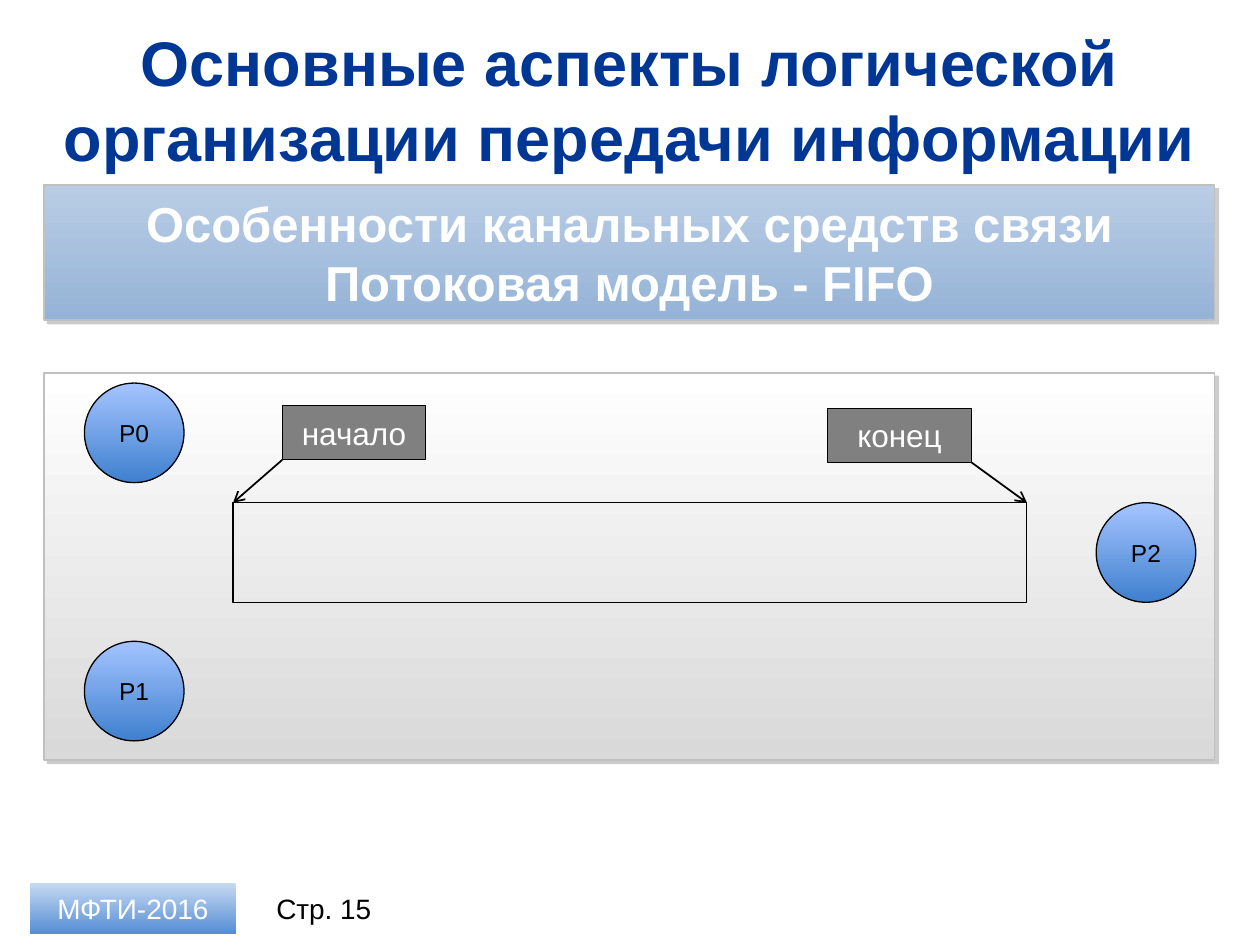
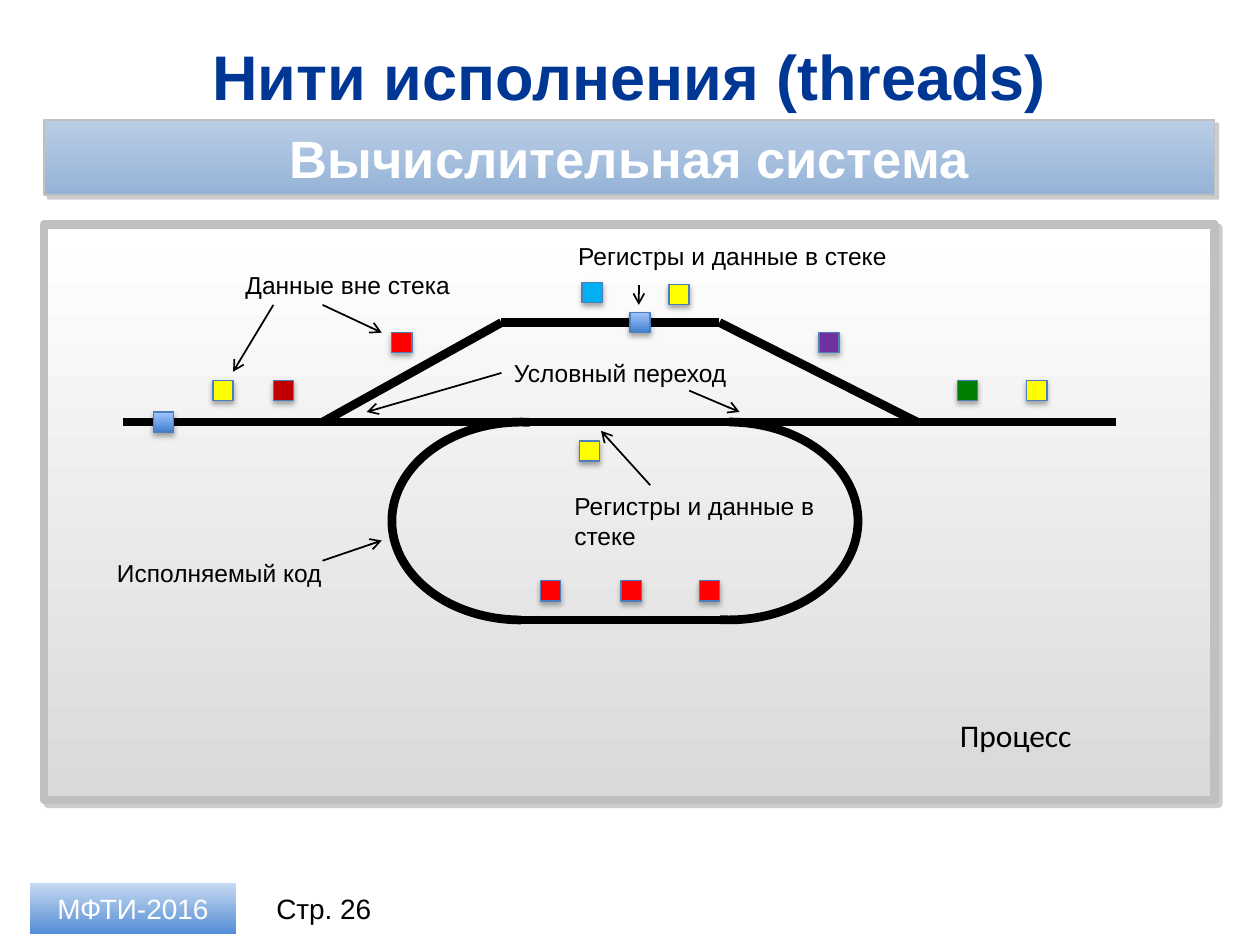
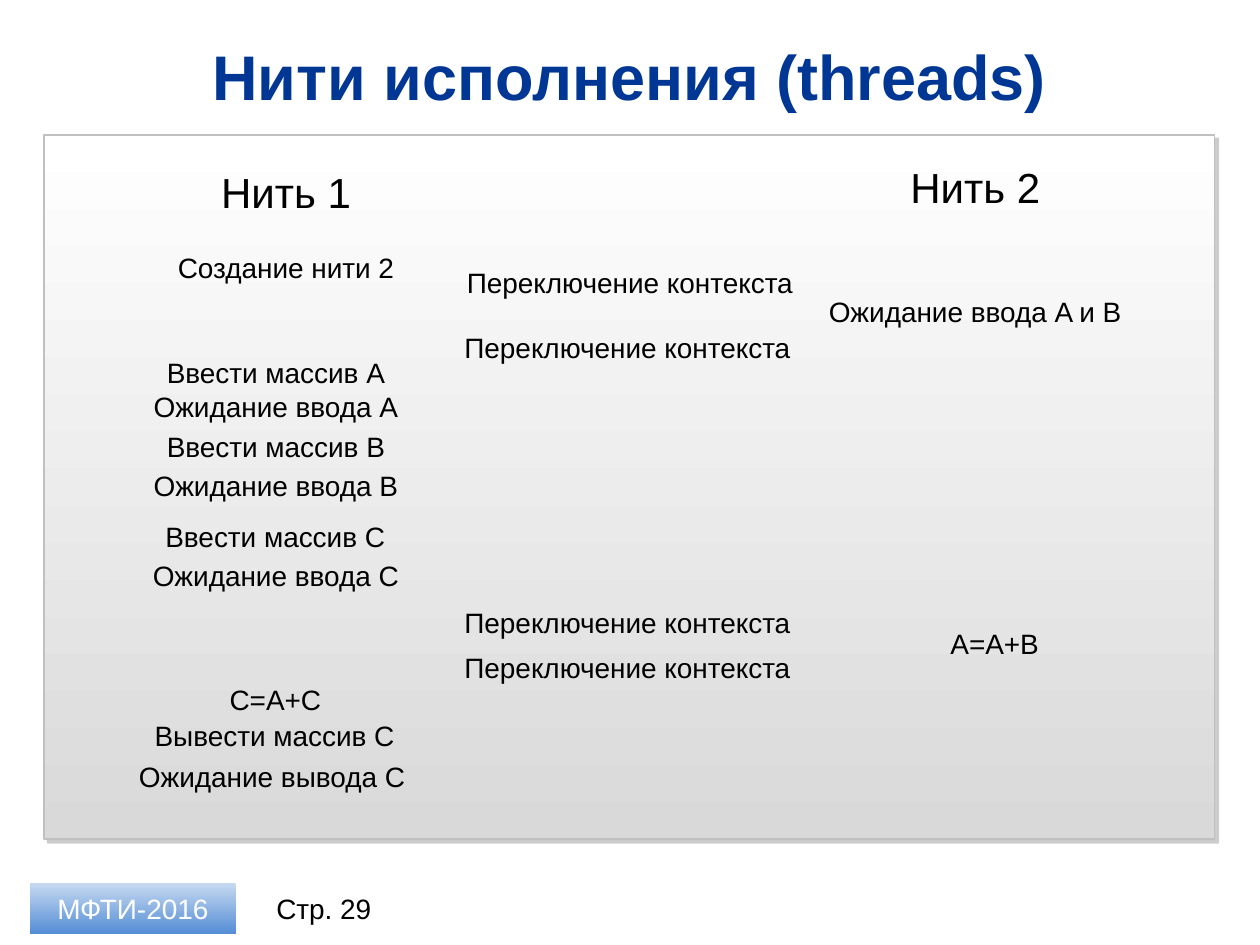
from dataclasses import dataclass
from typing import NamedTuple, Optional

import pptx
import pptx.dml.color
import pptx.enum.shapes
import pptx.enum.text
import pptx.oxml
import pptx.oxml.ns
import pptx.util
from lxml import etree

Inches = pptx.util.Inches
Pt = pptx.util.Pt
Shape = pptx.enum.shapes.MSO_SHAPE
Align = pptx.enum.text.PP_ALIGN
Anchor = pptx.enum.text.MSO_ANCHOR
AutoSize = pptx.enum.text.MSO_AUTO_SIZE
qn = pptx.oxml.ns.qn


# Shared look
@dataclass(frozen=True)
class Theme:
    font: str = "Arial"
    title: str = "003794"
    ink: str = "000000"
    paper: str = "FFFFFF"
    edge: str = "C0C0C0"
    tag: str = "808080"
    token_edge: str = "4B7EBC"
    # Gradients run from top to bottom
    band: tuple = ("B9CDE5", "95B3D7")
    panel: tuple = ("FFFFFF", "D9D9D9")
    badge: tuple = ("C6D9F1", "558ED5")
    blue: tuple = ("A4C4FF", "3F80CE")
    title_size: int = 36
    band_size: int = 28
    heading_size: int = 24
    tag_size: int = 18
    body_size: int = 16
    note_size: int = 14


THEME = Theme()


class Area(NamedTuple):
    left: float
    top: float
    width: float
    height: float

    def emu(self) -> list:
        return [Inches(value) for value in self]


class Stroke(NamedTuple):
    color: str
    width: float


class Shadow(NamedTuple):
    color: str
    alpha: int
    blur: float
    distance: float
    angle: int


class Label(NamedTuple):
    text: str
    left: float
    top: float
    width: float
    lines: int = 1


class Line(NamedTuple):
    x1: float
    y1: float
    x2: float
    y2: float


class Token(NamedTuple):
    left: float
    top: float
    fill: object


LEFT, WIDTH = 0.35, 9.29
THIN = Stroke(THEME.ink, 0.75)
POINTER = Stroke(THEME.ink, 1)
TRACK = Stroke(THEME.ink, 5)
FRAME = Stroke(THEME.edge, 1)
PANEL_SHADOW = Shadow("808080", 40, 0, 3, 45)
TOKEN_SHADOW = Shadow("000000", 35, 3.1, 1.8, 90)


def rgb(color: str):
    return pptx.dml.color.RGBColor.from_string(color)


# Drawing helpers
def write(shape, text: str, size: float, color: str = THEME.ink, bold: bool = False,
          align=Align.CENTER, anchor=Anchor.MIDDLE, wrap: bool = True,
          font: str = THEME.font) -> None:
    frame = shape.text_frame
    frame.text = text
    frame.word_wrap = wrap
    frame.vertical_anchor = anchor
    for para in frame.paragraphs:
        para.alignment = align
        para.font.name = font
        para.font.size = Pt(size)
        para.font.bold = bold
        para.font.color.rgb = rgb(color)


def add_box(page, area: Area, fill=None, stroke: Optional[Stroke] = None,
            shadow: Optional[Shadow] = None, kind=Shape.RECTANGLE):
    """Draw a preset shape; fill is a colour, a (top, bottom) gradient or None."""
    box = page.shapes.add_shape(kind, *area.emu())
    if fill is None:
        box.fill.background()
    elif isinstance(fill, str):
        box.fill.solid()
        box.fill.fore_color.rgb = rgb(fill)
    else:
        box.fill.gradient()
        box.fill.gradient_angle = 270
        for stop, color in zip(box.fill.gradient_stops, fill):
            stop.color.rgb = rgb(color)
    if stroke:
        box.line.color.rgb = rgb(stroke.color)
        box.line.width = Pt(stroke.width)
    else:
        box.line.fill.background()
    box.shadow.inherit = False
    if shadow:
        effects = box.element.spPr.find(qn("a:effectLst"))
        outer = etree.SubElement(
            effects, qn("a:outerShdw"), blurRad=str(Pt(shadow.blur)),
            dist=str(Pt(shadow.distance)), dir=str(shadow.angle * 60000),
            algn="tl", rotWithShape="0")
        color = etree.SubElement(outer, qn("a:srgbClr"), val=shadow.color)
        etree.SubElement(color, qn("a:alpha"), val=str(shadow.alpha * 1000))
    return box


def add_line(page, line: Line, stroke: Stroke, arrow: bool = False) -> None:
    connector = page.shapes.add_connector(
        pptx.enum.shapes.MSO_CONNECTOR.STRAIGHT, *[Inches(value) for value in line])
    connector.line.color.rgb = rgb(stroke.color)
    connector.line.width = Pt(stroke.width)
    properties = connector.element.spPr
    if arrow:
        etree.SubElement(properties.find(qn("a:ln")), qn("a:tailEnd"), type="arrow")
    etree.SubElement(properties, qn("a:effectLst"))


def add_label(page, label: Label, size: int, align=Align.LEFT,
              font: str = THEME.font) -> None:
    height = 0.1 + label.lines * size / 60
    area = Area(label.left, label.top, label.width, height)
    box = page.shapes.add_textbox(*area.emu())
    write(box, label.text, size, align=align, anchor=Anchor.TOP, font=font)
    box.text_frame.auto_size = AutoSize.SHAPE_TO_FIT_TEXT


# Parts that several slides share
def add_page(deck, title: str, number: int, title_height: float = 0.68):
    page = deck.slides.add_slide(deck.slide_layouts[5])
    heading = page.shapes.title
    heading.left, heading.top, heading.width, heading.height = Area(
        LEFT, 0.26, WIDTH, title_height).emu()
    write(heading, title, THEME.title_size, THEME.title, bold=True)
    heading.text_frame.auto_size = AutoSize.NONE

    counter = page.shapes.add_textbox(*Area(2.03, 7.01, 1.08, 0.4).emu())
    write(counter, f"Стр. {number}", THEME.body_size)
    badge = add_box(page, Area(0.24, 7.01, 1.63, 0.4), THEME.badge)
    write(badge, "МФТИ-2016", THEME.body_size, THEME.paper)
    return page


def add_band(page, text: str, top: float, height: float,
             size: int = THEME.band_size) -> None:
    band = add_box(page, Area(LEFT, top, WIDTH, height), THEME.band, FRAME, PANEL_SHADOW)
    write(band, text, size, THEME.paper, bold=True)
    frame = band.text_frame
    frame.margin_left = frame.margin_right = Inches(0.24)
    frame.margin_top = frame.margin_bottom = Inches(0.04)


def add_panel(page, top: float, height: float, stroke: Stroke = FRAME) -> None:
    add_box(page, Area(LEFT, top, WIDTH, height), THEME.panel, stroke, PANEL_SHADOW)


# Slides
def build_fifo(deck) -> None:
    page = add_page(deck, "Основные аспекты логической организации передачи информации",
                    15, title_height=1.05)
    add_band(page, "Особенности канальных средств связи\nПотоковая модель - FIFO", 1.47, 1.07)
    add_panel(page, 2.96, 3.07)

    queue = Area(1.85, 3.99, 6.3, 0.79)
    add_box(page, queue, stroke=THIN)

    for name, left, top in (("P0", 0.67, 3.04), ("P1", 0.67, 5.09), ("P2", 8.7, queue.top)):
        process = add_box(page, Area(left, top, 0.79, 0.79), THEME.blue, THIN,
                          kind=Shape.OVAL)
        write(process, name, THEME.note_size, wrap=False)

    # Each tag points from its lower outer corner to a corner of the queue
    start, end = Area(2.24, 3.22, 1.14, 0.43), Area(6.57, 3.24, 1.14, 0.43)
    ends = (("начало", start, start.left, queue.left),
            ("конец", end, end.left + end.width, queue.left + queue.width))
    for name, area, tag_x, queue_x in ends:
        tag = add_box(page, area, THEME.tag, THIN)
        write(tag, name, THEME.tag_size, THEME.paper, wrap=False)
        add_line(page, Line(tag_x, area.top + area.height, queue_x, queue.top),
                 POINTER, arrow=True)


def build_railway(deck) -> None:
    page = add_page(deck, "Нити исполнения (threads)", 26)
    add_panel(page, 1.78, 4.57, Stroke(THEME.edge, 5))

    # Tracks: main line, upper bypass, lower loop
    upper, main, lower = 2.56, 3.35, 4.92
    tracks = (
        Line(0.98, main, 2.56, main),
        Line(2.56, main, 3.98, upper),
        Line(3.98, upper, 5.71, upper),
        Line(2.56, main, 8.86, main),
        Line(5.71, upper, 7.28, main),
        Line(5.75, lower, 4.06, lower),
    )
    for track in tracks:
        add_line(page, track, TRACK)
    for left, rotation in ((4.76, 0), (3.11, 180)):
        bend = add_box(page, Area(left, main, 2.05, lower - main), stroke=TRACK,
                       kind=Shape.ARC)
        bend.adjustments[0] = 162
        bend.adjustments[1] = 57.08
        bend.rotation = rotation

    # Data and registers
    red, yellow = "FF0000", "FFFF00"
    tokens = (
        Token(1.22, 3.27, THEME.blue),
        Token(2.17, 3.02, "C00000"),
        Token(3.11, 2.64, red),
        Token(4.62, 2.24, "00B0F0"),
        Token(5.31, 2.26, yellow),
        Token(6.5, 2.64, "7030A0"),
        Token(7.6, 3.02, "008000"),
        Token(8.15, 3.02, yellow),
        Token(1.69, 3.02, yellow),
        Token(4.6, 3.5, yellow),
        Token(5.55, 4.61, red),
        Token(4.93, 4.61, red),
        Token(4.29, 4.61, red),
        Token(5, 2.48, THEME.blue),
    )
    for token in tokens:
        add_box(page, Area(token.left, token.top, 0.16, 0.16), token.fill,
                Stroke(THEME.token_edge, 0.75), TOKEN_SHADOW)

    # Notes and their pointers
    notes = (
        Label("Регистры и данные в стеке", 4.46, 3.85, 2.13, lines=2),
        Label("Исполняемый код", 0.83, 4.38, 3.15),
        Label("Данные вне стека", 1.85, 2.09, 2.13),
        Label("Условный переход", 3.98, 2.79, 2.05),
        Label("Регистры и данные в стеке", 4.49, 1.86, 3.27),
    )
    for note in notes:
        add_label(page, note, THEME.note_size)
    add_label(page, Label("Процесс", 7.52, 5.63, 1.73), THEME.tag_size, font="Calibri")

    pointers = (
        Line(2.56, 4.45, 3.03, 4.29),
        Line(2.17, 2.42, 1.85, 2.95),
        Line(2.56, 2.42, 3.03, 2.64),
        Line(3.98, 2.96, 2.91, 3.27),
        Line(5.47, 3.1, 5.87, 3.27),
        Line(5.16, 3.85, 4.77, 3.42),
        Line(5.07, 2.26, 5.07, 2.42),
    )
    for pointer in pointers:
        add_line(page, pointer, POINTER, arrow=True)
    add_band(page, "Вычислительная система", 0.95, 0.6, size=30)


def build_timeline(deck) -> None:
    page = add_page(deck, "Нити исполнения (threads)", 29)
    add_panel(page, 1.07, 5.59)

    column = 2.88
    headings = (Label("Нить 1", 0.83, 1.27, column), Label("Нить 2", 6.3, 1.23, column))
    for heading in headings:
        add_label(page, heading, THEME.heading_size, Align.CENTER)

    switch = "Переключение контекста"
    steps = (
        # First thread
        Label("Создание нити 2", 0.83, 1.94, column),
        Label("Ввести массив A", 0.75, 2.77, column),
        Label("Ожидание ввода A", 0.75, 3.04, column),
        Label("Ввести массив B", 0.75, 3.36, column),
        Label("Ожидание ввода B", 0.75, 3.67, column),
        Label("Ввести массив C", 0.63, 4.07, 3.11),
        Label("Ожидание ввода C", 0.75, 4.38, column),
        Label("C=A+C", 1.14, 5.37, 2.09),
        Label("Вывести массив C", 1.1, 5.65, 2.16),
        Label("Ожидание вывода C", 0.98, 5.98, 2.36),
        # Context switches
        Label(switch, 3.56, 2.06, column),
        Label(switch, 3.54, 2.57, column),
        Label(switch, 3.54, 4.76, column),
        Label(switch, 3.54, 5.11, column),
        # Second thread
        Label("Ожидание ввода A и B", 6.3, 2.29, column),
        Label("A=A+B", 6.93, 4.92, 1.93),
    )
    for step in steps:
        add_label(page, step, THEME.body_size, Align.CENTER)


def main() -> None:
    deck = pptx.Presentation()
    deck.slide_width, deck.slide_height = Inches(10), Inches(7.5)
    build_fifo(deck)
    build_railway(deck)
    build_timeline(deck)
    deck.save("out.pptx")


if __name__ == "__main__":
    main()
